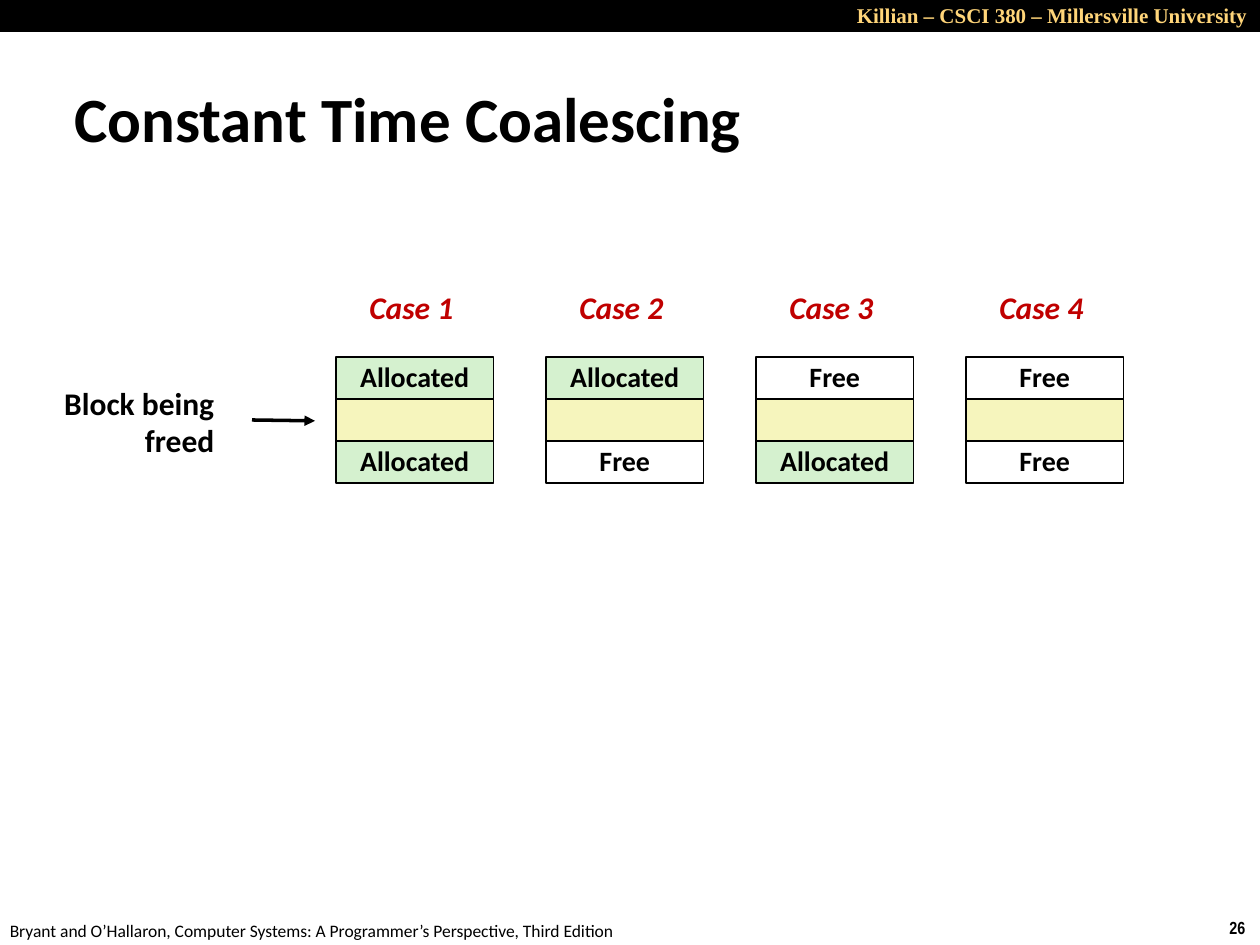
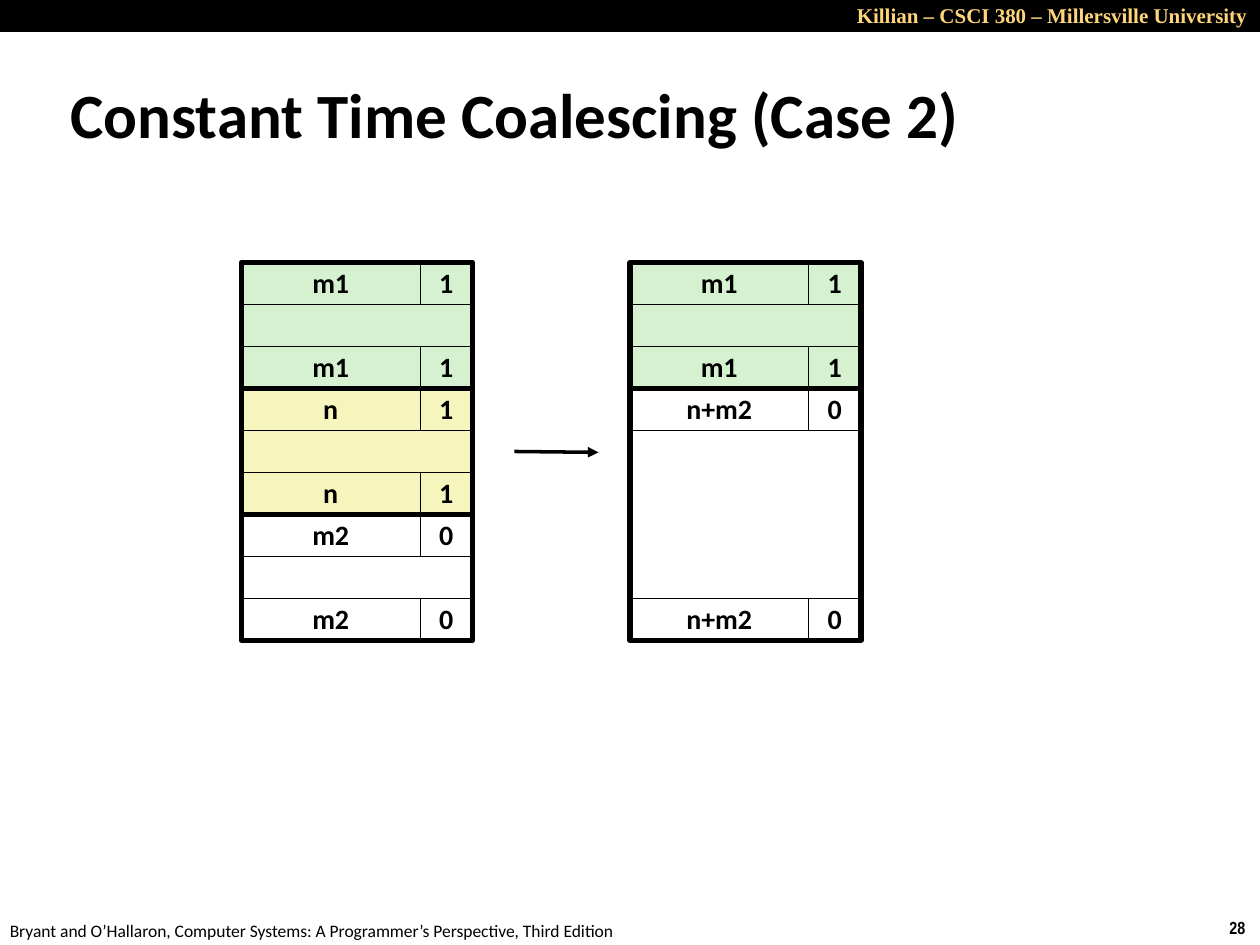
from lxml.etree import SubElement
from pptx import Presentation
from pptx.dml.color import RGBColor
from pptx.enum.shapes import MSO_CONNECTOR, MSO_SHAPE
from pptx.enum.text import MSO_ANCHOR, MSO_AUTO_SIZE, PP_ALIGN
from pptx.oxml.ns import qn
from pptx.util import Pt

BLACK, WHITE, GOLD, RED = "000000", "FFFFFF", "FFD579", "C00000"
ALLOCATED, FREED, FREE = "D5F1CF", "F6F5BD", WHITE
ROW = 24  # height of one memory row
FOOTER = "Bryant and O’Hallaron, Computer Systems: A Programmer’s Perspective, Third Edition"
colour = RGBColor.from_string


def write(shape, place, text, size, font="Calibri", ink=BLACK, bold=True,
          italic=False, align=PP_ALIGN.LEFT, spacing=1.0, wrap=False):
    """Place a shape at (left, top, width, height) and fill it with styled text."""
    shape.left, shape.top, shape.width, shape.height = map(Pt, place)
    frame = shape.text_frame
    frame.text = text
    frame.word_wrap = wrap
    frame.auto_size = MSO_AUTO_SIZE.NONE
    for paragraph in frame.paragraphs:
        paragraph.alignment = align
        paragraph.line_spacing = spacing
        for run in paragraph.runs:
            run.font.name, run.font.size = font, Pt(size)
            run.font.bold, run.font.italic = bold, italic
            run.font.color.rgb = colour(ink)


def add_box(slide, place, fill, line_width, text=""):
    """Add a black-edged rectangle; a fill of None leaves it hollow."""
    box = slide.shapes.add_shape(MSO_SHAPE.RECTANGLE, *map(Pt, place))
    box.shadow.inherit = False
    if fill:
        box.fill.solid()
        box.fill.fore_color.rgb = colour(fill)
    else:
        box.fill.background()
    box.line.color.rgb = colour(BLACK)
    box.line.width = Pt(line_width)
    if text:
        write(box, place, text, 16, align=PP_ALIGN.CENTER, spacing=0.98)
        box.text_frame.vertical_anchor = MSO_ANCHOR.MIDDLE


deck = Presentation()
deck.slide_width, deck.slide_height = Pt(720), Pt(540)

# Parts shared by both slides: band, header, footer, number, title, arrow
pages = [
    ("26", "Constant Time Coalescing", (35.3, 44.6, 553, 45.4), (144, 180, 240)),
    ("28", "Constant Time Coalescing (Case 2)", (33.1, 41.8, 654, 45.4), (294, 342, 258)),
]
for number, title, title_place, (start, end, height) in pages:
    slide = deck.slides.add_slide(deck.slide_layouts[5])
    add_box(slide, (0, 0, 720, 18), BLACK, 0)
    write(slide.shapes.add_textbox(0, 0, 0, 0), (437.8, -2, 282.2, 21.6),
          "Killian – CSCI 380 – Millersville University", 12, "Times New Roman",
          GOLD, align=PP_ALIGN.RIGHT, wrap=True)
    write(slide.shapes.add_textbox(0, 0, 0, 0), (695.5, 520.6, 24.5, 19.4),
          number, 10, "Arial Narrow")
    write(slide.shapes.add_textbox(0, 0, 0, 0), (-1.5, 522, 365.8, 19.4),
          FOOTER, 10, bold=False)
    write(slide.shapes.title, title_place, title, 36, wrap=True)
    slide.shapes.title.text_frame.vertical_anchor = MSO_ANCHOR.MIDDLE

    arrow = slide.shapes.add_connector(
        MSO_CONNECTOR.STRAIGHT, Pt(start), Pt(height), Pt(end), Pt(height + 0.5))
    arrow.line.color.rgb = colour(BLACK)
    arrow.line.width = Pt(2)
    properties = arrow.element.spPr
    SubElement(properties.find(qn("a:ln")), qn("a:tailEnd"), type="triangle")
    SubElement(properties, qn("a:effectLst"))

overview, case_two = deck.slides

# Overview: the four combinations of neighbours
write(overview.shapes.add_textbox(0, 0, 0, 0), (28.8, 216.7, 100.8, 50.4),
      "Block being\nfreed", 18, align=PP_ALIGN.RIGHT, spacing=0.98)
neighbours = [("Allocated", "Allocated"), ("Allocated", "Free"),
              ("Free", "Allocated"), ("Free", "Free")]
state_fill = {"Allocated": ALLOCATED, "Free": FREE, "": FREED}
for case, (before, after) in enumerate(neighbours):
    left = 192 + 120 * case
    write(overview.shapes.add_textbox(0, 0, 0, 0), (left + 12, 162, 62.6, 28.8),
          f"Case {case + 1}", 18, ink=RED, italic=True, spacing=0.98)
    for row, state in enumerate((before, "", after)):
        add_box(overview, (left, 204 + ROW * row, 90, ROW), state_fill[state], 1, state)

# Case 2: memory before and after; each block is (size, flag, fill, rows)
SIZE_WIDTH, FLAG_WIDTH = 102, 30
BLOCK_WIDTH = SIZE_WIDTH + FLAG_WIDTH
memory = [
    (138, [("m1", "1", ALLOCATED, 3), ("n", "1", FREED, 3), ("m2", "0", FREE, 3)]),
    (360, [("m1", "1", ALLOCATED, 3), ("n+m2", "0", FREE, 6)]),
]
for left, blocks in memory:
    top = 150
    for size, flag, fill, rows in blocks:
        bottom = top + ROW * rows
        for tag_top in (top, bottom - ROW):
            add_box(case_two, (left, tag_top, SIZE_WIDTH, ROW), fill, 0.25, size)
            add_box(case_two, (left + SIZE_WIDTH, tag_top, FLAG_WIDTH, ROW), fill, 0.25, flag)
        add_box(case_two, (left, top + ROW, BLOCK_WIDTH, ROW * (rows - 2)), fill, 0.25)
        add_box(case_two, (left, top, BLOCK_WIDTH, ROW * rows), None, 3)
        top = bottom

deck.save("out.pptx")
